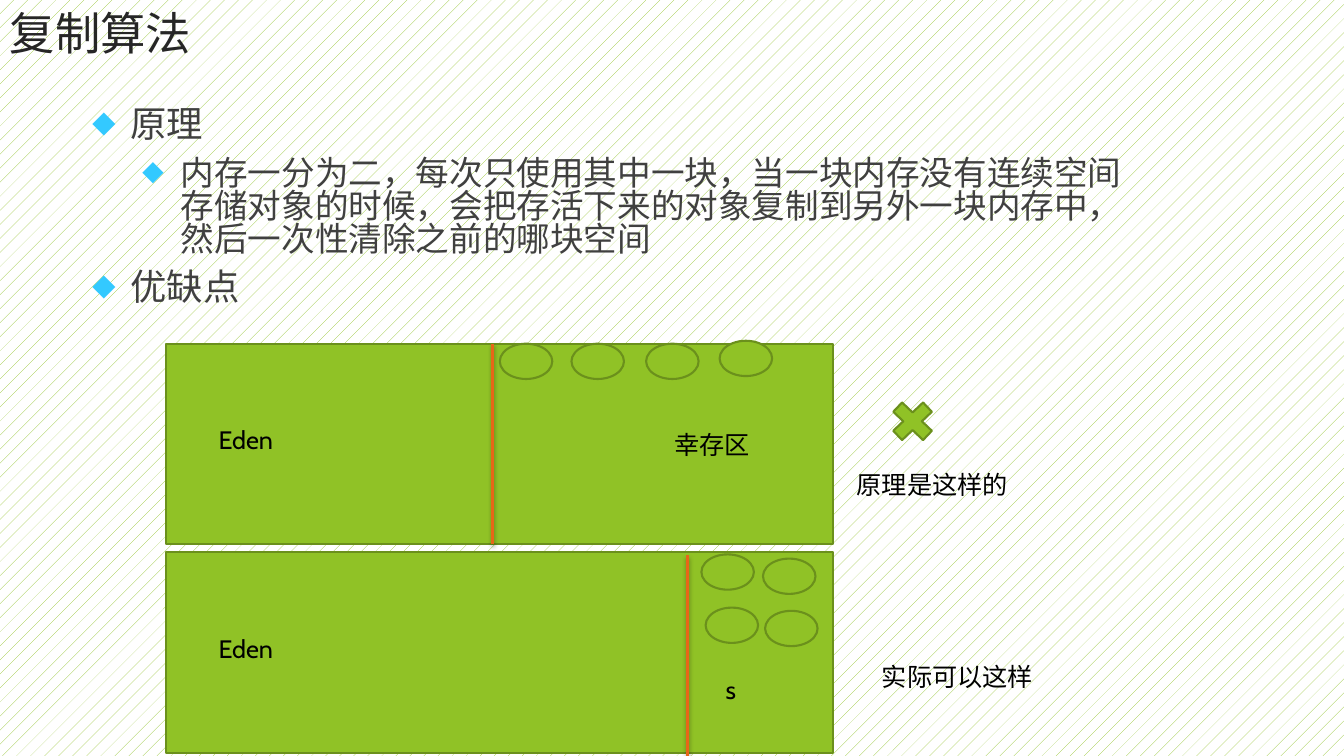
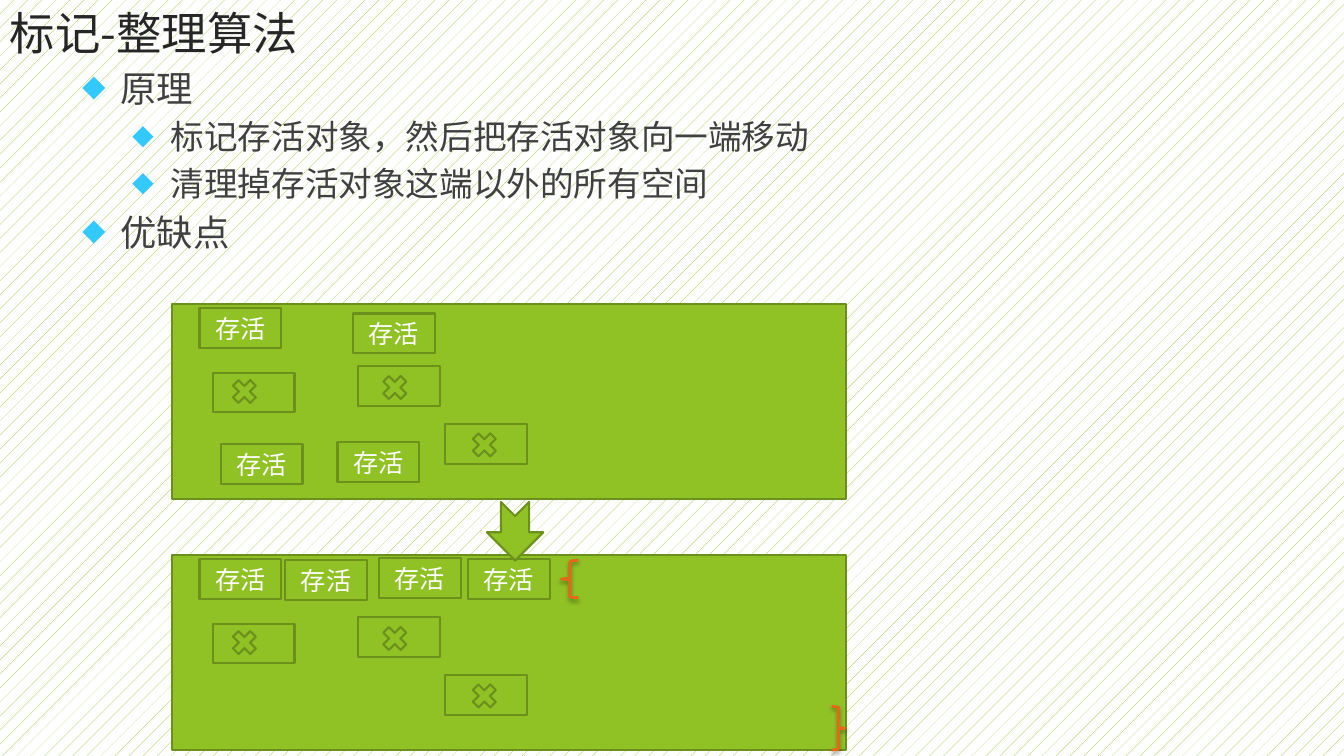
from dataclasses import dataclass

from lxml.etree import SubElement
from pptx import Presentation
from pptx.dml.color import RGBColor
from pptx.enum.dml import MSO_PATTERN
from pptx.enum.shapes import MSO_CONNECTOR, MSO_SHAPE
from pptx.enum.text import MSO_ANCHOR, MSO_AUTO_SIZE, PP_ALIGN
from pptx.oxml.ns import qn
from pptx.util import Pt


@dataclass(frozen=True)
class Theme:
    green: str = "90C226"
    outline: str = "6B901C"
    accent: str = "E76618"
    bullet: str = "33C9FF"
    title: str = "262626"
    body: str = "404040"
    black: str = "000000"
    white: str = "FFFFFF"
    latin: str = "Cabin"
    asian: str = "Noto Sans CJK JP"
    title_size: float = 32.4
    body_sizes: tuple = (26, 24)
    label_size: float = 18
    body_indents: tuple = (27, 63)
    body_hanging: float = 27
    body_spacing: float = 0.82


THEME = Theme()


def rgb(color):
    return RGBColor.from_string(color)


def add_xml(parent, tag, **attributes):
    return SubElement(parent, qn(tag), attributes)


class Painter:
    """Holds the theme and the slide being drawn; all lengths are points."""

    def __init__(self, deck, theme):
        self.deck = deck
        self.theme = theme
        self.page = None

    def new_page(self, title):
        self.page = self.deck.slides.add_slide(self.deck.slide_layouts[6])
        fill = self.page.background.fill
        fill.patterned()
        fill.pattern = MSO_PATTERN.PERCENT_5
        fill.fore_color.rgb = rgb(self.theme.green)
        fill.back_color.rgb = rgb(self.theme.white)

        frame = self.text_box(0, 0, 676.8, 46)
        frame.vertical_anchor = MSO_ANCHOR.MIDDLE
        self.set_text(frame.paragraphs[0], title, self.theme.title_size,
                      self.theme.title, self.theme.asian)

    def text_box(self, left, top, width, height):
        box = self.page.shapes.add_textbox(Pt(left), Pt(top), Pt(width), Pt(height))
        box.text_frame.word_wrap = True
        return box.text_frame

    def set_text(self, para, text, size, color, font):
        para.text = text
        para.font.size = Pt(size)
        para.font.color.rgb = rgb(color)
        para.font.name = font
        add_xml(para.font._element, "a:ea", typeface=self.theme.asian)

    def bullets(self, left, top, height, items):
        """Items are (level, text) pairs."""
        theme = self.theme
        frame = self.text_box(left, top, 766.8, height)
        for index, (level, text) in enumerate(items):
            para = frame.add_paragraph() if index else frame.paragraphs[0]
            para.level = level
            para.line_spacing = theme.body_spacing
            para.space_before = Pt(10 if index else 0)
            properties = para._p.get_or_add_pPr()
            properties.set("marL", str(Pt(theme.body_indents[level])))
            properties.set("indent", str(-Pt(theme.body_hanging)))
            color = add_xml(properties, "a:buClr")
            add_xml(color, "a:srgbClr", val=theme.bullet)
            add_xml(properties, "a:buSzPct", val="65000")
            add_xml(properties, "a:buFont", typeface=theme.asian)
            add_xml(properties, "a:buChar", char="◆")
            self.set_text(para, text, theme.body_sizes[level], theme.body, theme.asian)

    def label(self, left, top, width, text):
        frame = self.text_box(left, top, width, 28.8)
        frame.word_wrap = False
        frame.auto_size = MSO_AUTO_SIZE.SHAPE_TO_FIT_TEXT
        self.set_text(frame.paragraphs[0], text, self.theme.label_size,
                      self.theme.black, self.theme.latin)

    def shape(self, kind, left, top, width, height, text=None):
        shape = self.page.shapes.add_shape(kind, Pt(left), Pt(top), Pt(width), Pt(height))
        shape.shadow.inherit = False
        shape.fill.solid()
        shape.fill.fore_color.rgb = rgb(self.theme.green)
        shape.line.color.rgb = rgb(self.theme.outline)
        shape.line.width = Pt(1.5)
        if text:
            shape.text_frame.vertical_anchor = MSO_ANCHOR.MIDDLE
            para = shape.text_frame.paragraphs[0]
            para.alignment = PP_ALIGN.CENTER
            self.set_text(para, text, self.theme.label_size,
                          self.theme.white, self.theme.latin)
        return shape

    def accent_line(self, item):
        """Orange outline with a soft shadow below."""
        item.line.color.rgb = rgb(self.theme.accent)
        item.line.width = Pt(2)
        properties = item._element.spPr
        effects = properties.find(qn("a:effectLst"))
        if effects is None:
            effects = add_xml(properties, "a:effectLst")
        shadow = add_xml(effects, "a:outerShdw", blurRad=str(Pt(3)), dist=str(Pt(2)),
                         dir="5400000", rotWithShape="0")
        color = add_xml(shadow, "a:srgbClr", val=self.theme.black)
        add_xml(color, "a:alpha", val="35000")

    def divider(self, x, top, bottom):
        self.accent_line(self.page.shapes.add_connector(
            MSO_CONNECTOR.STRAIGHT, Pt(x), Pt(top), Pt(x), Pt(bottom)))

    def brace(self, kind, left, top, width, height):
        brace = self.shape(kind, left, top, width, height)
        brace.fill.background()
        self.accent_line(brace)

    def memory_halves(self, top, divider, survivors):
        """Memory panel split into Eden and a survivor area."""
        self.shape(MSO_SHAPE.RECTANGLE, 118.8, top, 476, 143.3)
        self.divider(*divider)
        for left, oval_top in survivors:
            self.shape(MSO_SHAPE.OVAL, left, oval_top, 37.5, 25.2)
        self.label(149, top + 54, 54, "Eden")

    def memory_blocks(self, top, live):
        """Memory panel with live blocks and crossed-out dead blocks."""
        panel_left = 123.1
        self.shape(MSO_SHAPE.RECTANGLE, panel_left, top, 481, 139)
        for x, y in live:
            self.shape(MSO_SHAPE.RECTANGLE, panel_left + x, top + y, 58.5, 28.2, "存活")
        dead = [(28.8, 49, 39.6, 50.4), (132.5, 44.3, 147, 47.5), (195, 85.7, 211, 88.5)]
        for x, y, cross_x, cross_y in dead:
            self.shape(MSO_SHAPE.RECTANGLE, panel_left + x, top + y, 58.5, 28.2)
            self.shape(MSO_SHAPE.MATH_MULTIPLY, panel_left + cross_x, top + cross_y,
                       23.8, 23.8)


def copying_page(painter):
    painter.new_page("复制算法")
    painter.bullets(59, 74.3, 420.4, [
        (0, "原理"),
        (1, "内存一分为二，每次只使用其中一块，当一块内存没有连续空间存储对象的时候，"
            "会把存活下来的对象复制到另外一块内存中，然后一次性清除之前的哪块空间"),
        (0, "优缺点"),
    ])
    # Practical split: small survivor area
    painter.memory_halves(394.5, (491, 396.7, 540),
                          [(545, 399), (501, 396), (504, 434), (546.5, 436.3)])
    painter.label(511.2, 478, 21.6, "s")
    painter.label(622.8, 468.7, 123.8, "实际可以这样")
    # Theoretical split: two halves
    painter.memory_halves(245.5, (352, 245.5, 388.8),
                          [(408.2, 245.5), (357, 245.5), (461.5, 245.5), (514, 243.4)])
    painter.label(474.5, 303, 69, "幸存区")
    painter.label(604.8, 332, 123.8, "原理是这样的")
    painter.shape(MSO_SHAPE.MATH_MULTIPLY, 631.4, 281.5, 41, 38.9)


def compacting_page(painter):
    painter.new_page("标记-整理算法")
    painter.bullets(51.8, 49, 464.3, [
        (0, "原理"),
        (1, "标记存活对象，然后把存活对象向一端移动"),
        (1, "清理掉存活对象这端以外的所有空间"),
        (0, "优缺点"),
    ])
    # Before and after compaction
    painter.memory_blocks(217.4, [(19.4, 2.9), (129, 6.5), (118, 98.6), (34.5, 100)])
    painter.memory_blocks(396.7, [(19.4, 2.9), (80.6, 3.6), (147.6, 2.2), (211, 2.9)])
    # Range to be cleared
    painter.brace(MSO_SHAPE.LEFT_BRACE, 401, 400.3, 12.2, 26.6)
    painter.brace(MSO_SHAPE.RIGHT_BRACE, 594, 504.7, 10, 31)
    arrow = painter.shape(MSO_SHAPE.NOTCHED_RIGHT_ARROW, 347, 359.3, 41.8, 40.3)
    arrow.rotation = 90


def main():
    deck = Presentation()
    deck.slide_width, deck.slide_height = Pt(960), Pt(540)
    painter = Painter(deck, THEME)
    copying_page(painter)
    compacting_page(painter)
    deck.save("out.pptx")


if __name__ == "__main__":
    main()
